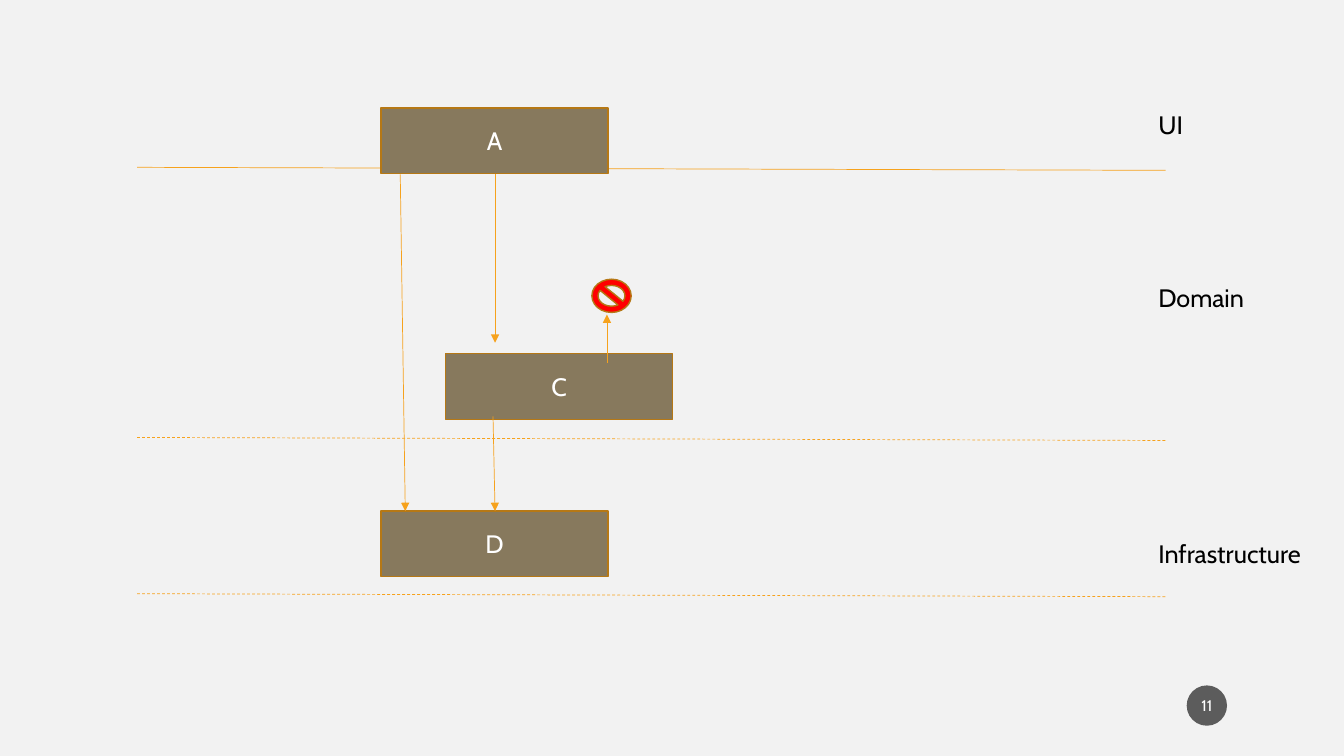
from lxml.etree import SubElement
from pptx import Presentation
from pptx.dml.color import RGBColor
from pptx.enum.dml import MSO_LINE
from pptx.enum.shapes import MSO_CONNECTOR, MSO_SHAPE
from pptx.enum.text import MSO_ANCHOR, PP_ALIGN
from pptx.oxml.ns import qn
from pptx.util import Inches, Pt

FONT = "Cabin"
COLORS = {
    "background": "F2F2F2",
    "arrow": "F6A21D",
    "box": "87795D",
    "border": "B67815",
    "forbidden": "FF0000",
    "badge": "1D1D1D",
    "light": "FFFFFF",
    "dark": "000000",
}


def rgb(name):
    """Return the named palette colour."""
    return RGBColor.from_string(COLORS[name])


def add_text(tf, text, size, color, align=PP_ALIGN.LEFT):
    """Write one formatted run into a text frame."""
    tf.word_wrap = True
    p = tf.paragraphs[0]
    p.alignment = align
    r = p.add_run()
    r.text = text
    r.font.name = FONT
    r.font.size = Pt(size)
    r.font.color.rgb = rgb(color)


def add_label(s, text, top, width):
    """Add a layer name at the right edge."""
    box = s.shapes.add_textbox(Inches(11.39), Inches(top), Inches(width), Inches(0.4))
    add_text(box.text_frame, text, 18, "dark")


def add_filled(s, kind, left, top, width, height, fill, border=None):
    """Add a filled preset shape, with a border if one is named."""
    sp = s.shapes.add_shape(kind, Inches(left), Inches(top), Inches(width), Inches(height))
    sp.shadow.inherit = False
    sp.fill.solid()
    sp.fill.fore_color.rgb = rgb(fill)
    if border:
        sp.line.color.rgb = rgb(border)
        sp.line.width = Pt(1)
    else:
        sp.line.fill.background()
    return sp


def add_component(s, name, left, top):
    """Add a named component box."""
    sp = add_filled(s, MSO_SHAPE.RECTANGLE, left, top, 2.25, 0.65, "box", "border")
    sp.text_frame.vertical_anchor = MSO_ANCHOR.MIDDLE
    add_text(sp.text_frame, name, 18, "light", PP_ALIGN.CENTER)


def add_line(s, x1, y1, x2, y2, dashed=False, arrow=False):
    """Add a thin line, optionally dashed or ending in an arrowhead."""
    line = s.shapes.add_connector(
        MSO_CONNECTOR.STRAIGHT, Inches(x1), Inches(y1), Inches(x2), Inches(y2))
    line.line.color.rgb = rgb("arrow")
    line.line.width = Pt(0.5)
    if dashed:
        line.line.dash_style = MSO_LINE.DASH
    if arrow:
        SubElement(line.line._get_or_add_ln(), qn("a:tailEnd"), type="triangle")
    SubElement(line._element.spPr, qn("a:effectLst"))


def add_page_badge(s, number):
    """Add the translucent round page number."""
    sp = add_filled(s, MSO_SHAPE.OVAL, 11.77, 6.8, 0.4, 0.4, "badge")
    color = sp._element.spPr.find(qn("a:solidFill")).find(qn("a:srgbClr"))
    SubElement(color, qn("a:alpha"), val="70000")
    tf = sp.text_frame
    tf.margin_left = tf.margin_right = Inches(0.02)
    tf.vertical_anchor = MSO_ANCHOR.MIDDLE
    add_text(tf, number, 11, "light", PP_ALIGN.CENTER)


def main():
    """Build the layered dependency slide."""
    prs = Presentation()
    prs.slide_width, prs.slide_height = Inches(13.33), Inches(7.5)
    s = prs.slides.add_slide(prs.slide_layouts[6])
    s.background.fill.solid()
    s.background.fill.fore_color.rgb = rgb("background")

    for y, dashed in [(1.66, False), (4.34, True), (5.89, True)]:
        add_line(s, 1.36, y, 11.56, y + 0.03, dashed=dashed)
    for text, top, width in [("Infrastructure", 5.29, 1.9), ("Domain", 2.75, 1.13), ("UI", 1.04, 0.48)]:
        add_label(s, text, top, width)
    for name, left, top in [("A", 3.78, 1.07), ("C", 4.42, 3.51), ("D", 3.78, 5.07)]:
        add_component(s, name, left, top)
    for ends in [(3.97, 1.73, 4.02, 5.07), (4.91, 1.73, 4.91, 3.4),
                 (4.89, 4.13, 4.91, 5.07), (6.02, 3.6, 6.02, 3.12)]:
        add_line(s, *ends, arrow=True)
    add_filled(s, MSO_SHAPE.NO_SYMBOL, 5.87, 2.77, 0.39, 0.33, "forbidden", "border")
    add_page_badge(s, "11")
    prs.save("out.pptx")


if __name__ == "__main__":
    main()
